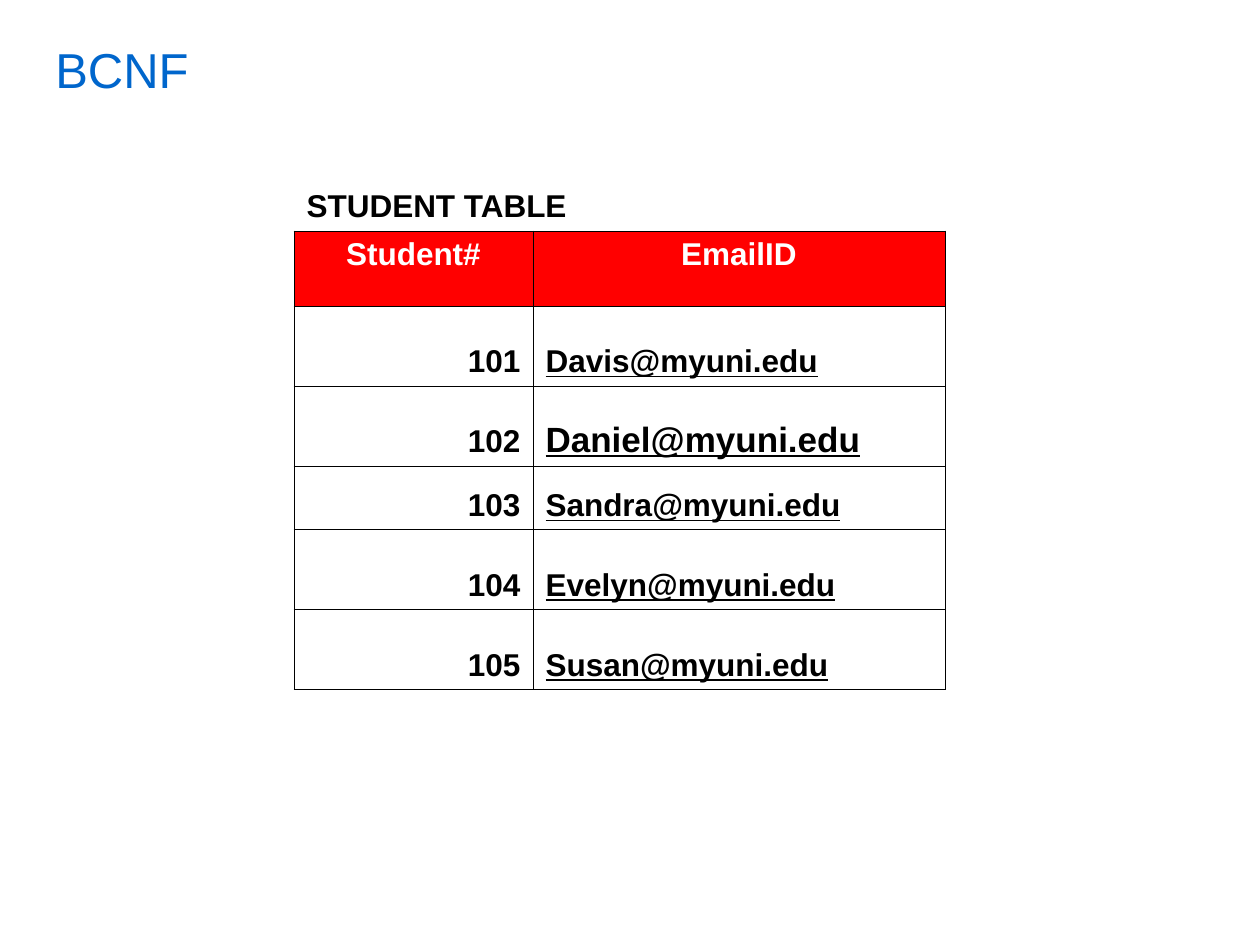
from dataclasses import dataclass

from lxml.etree import SubElement
from pptx import Presentation
from pptx.dml.color import RGBColor
from pptx.enum.text import MSO_ANCHOR, PP_ALIGN
from pptx.oxml.ns import qn
from pptx.table import _Cell
from pptx.text.text import TextFrame
from pptx.util import Inches, Pt

PX = Inches(1) / 126
FONT = "Arial"
BLACK, WHITE, RED, BLUE = "000000", "FFFFFF", "FF0000", "0066CC"
NO_STYLE_NO_GRID = "{2D5ABB26-0587-4C30-8999-92F81FD0307C}"
COLUMN_WIDTHS = [239, 271, 141]
CAPTION_HEIGHT, HEADER_HEIGHT = 115, 75


@dataclass
class Student:
    number: str
    email: str
    height: int = 80
    email_size: int = 18


STUDENTS = [
    Student("101", "Davis@myuni.edu"),
    Student("102", "Daniel@myuni.edu", email_size=20),
    Student("103", "Sandra@myuni.edu", height=64),
    Student("104", "Evelyn@myuni.edu"),
    Student("105", "Susan@myuni.edu"),
]


def px(length: int) -> int:
    return round(length * PX)


def rgb(color: str) -> RGBColor:
    return RGBColor.from_string(color)


def write_text(frame: TextFrame, text: str, *, size: int = 18, color: str = BLACK,
               bold: bool = True, underline: bool = False,
               align: PP_ALIGN = PP_ALIGN.LEFT, hanging: int = 0) -> None:
    paragraph = frame.paragraphs[0]
    paragraph.alignment = align
    if hanging:
        properties = paragraph._p.get_or_add_pPr()
        properties.set("marL", str(px(hanging)))
        properties.set("indent", str(-px(hanging)))
    run = paragraph.add_run()
    run.text = text
    font = run.font
    font.name, font.size = FONT, Pt(size)
    font.bold, font.underline = bold, underline
    font.color.rgb = rgb(color)


def draw_borders(cell: _Cell, sides: str) -> None:
    """Draw thin lines on the given sides, named in the order L, R, T, B."""
    properties = cell._tc.get_or_add_tcPr()
    for side in sides:
        line = SubElement(properties, qn(f"a:ln{side}"), w=str(Pt(0.45)))
        fill = SubElement(line, qn("a:solidFill"))
        SubElement(fill, qn("a:srgbClr"), val=BLACK)


def fill_cell(cell: _Cell, text: str, *, fill: str = "",
              anchor: MSO_ANCHOR = MSO_ANCHOR.BOTTOM, **text_format) -> None:
    cell.vertical_anchor = anchor
    if fill:
        cell.fill.solid()
        cell.fill.fore_color.rgb = rgb(fill)
    write_text(cell.text_frame, text, hanging=47, **text_format)


def add_student_table(slide) -> None:
    heights = [CAPTION_HEIGHT, HEADER_HEIGHT] + [student.height for student in STUDENTS]
    shape = slide.shapes.add_table(len(heights), len(COLUMN_WIDTHS), px(294), px(116),
                                   px(sum(COLUMN_WIDTHS)), px(sum(heights)))
    table = shape.table
    table.first_row = table.horz_banding = False
    table._tbl.tblPr.find(qn("a:tableStyleId")).text = NO_STYLE_NO_GRID
    for column, width in zip(table.columns, COLUMN_WIDTHS):
        column.width = px(width)
    for row, height in zip(table.rows, heights):
        row.height = px(height)

    for column in range(2):
        draw_borders(table.cell(0, column), "B")
    table.cell(0, 0).merge(table.cell(0, 1))
    for row in range(1, len(heights)):
        for column in range(len(COLUMN_WIDTHS)):
            draw_borders(table.cell(row, column), "LRB")
        table.cell(row, 1).merge(table.cell(row, 2))

    fill_cell(table.cell(0, 0), "STUDENT TABLE")
    for column, heading in enumerate(["Student#", "EmailID"]):
        fill_cell(table.cell(1, column), heading, fill=RED, anchor=MSO_ANCHOR.TOP,
                  color=WHITE, align=PP_ALIGN.CENTER)
    for row, student in enumerate(STUDENTS, start=2):
        fill_cell(table.cell(row, 0), student.number, align=PP_ALIGN.RIGHT)
        fill_cell(table.cell(row, 1), student.email, size=student.email_size,
                  underline=True)


def add_title(slide, text: str) -> None:
    frame = slide.shapes.add_textbox(px(43), px(33), px(1182), px(71)).text_frame
    frame.word_wrap = True
    frame.vertical_anchor = MSO_ANCHOR.MIDDLE
    write_text(frame, text, size=28, color=BLUE, bold=False)


def main() -> None:
    presentation = Presentation()
    presentation.slide_width, presentation.slide_height = px(1260), px(945)
    slide = presentation.slides.add_slide(presentation.slide_layouts[6])
    add_title(slide, "BCNF")
    add_student_table(slide)
    presentation.save("out.pptx")


if __name__ == "__main__":
    main()
